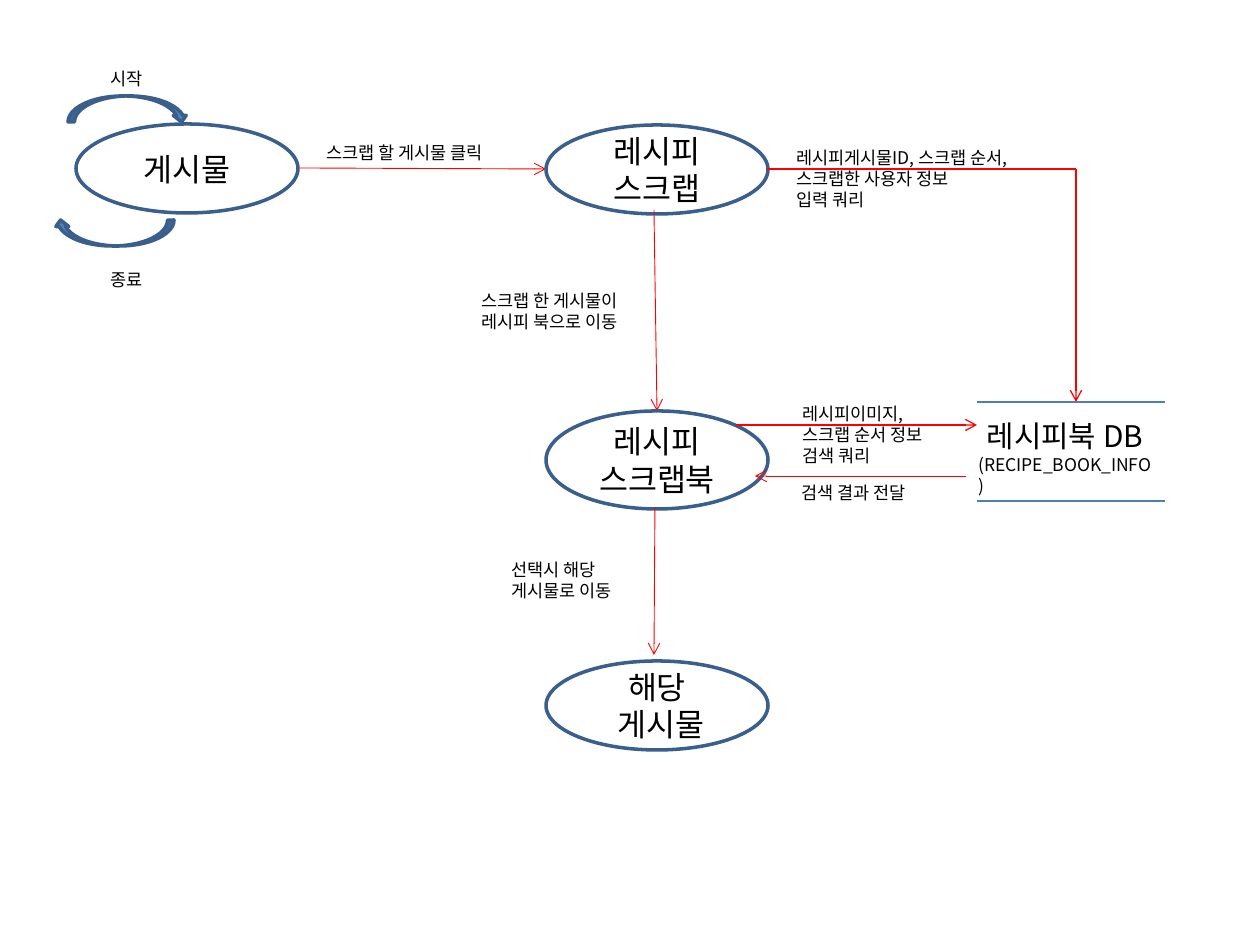
from dataclasses import dataclass

from lxml import etree
from pptx import Presentation
from pptx import util as u
from pptx.dml.color import RGBColor
from pptx.enum import shapes, text
from pptx.oxml.ns import qn

EMU_PER_PX = 914400 / 126


@dataclass(frozen=True)
class Theme:
    font: str = "Noto Sans CJK KR"
    ink: str = "000000"
    flow: str = "FF0000"
    outline: str = "3A5F8C"
    loop: str = "4F81BD"
    store: str = "4B7EBC"
    stage_size: int = 18
    store_size: int = 17
    label_size: int = 10
    outline_width: float = 2
    thin: float = 0.5
    medium: float = 0.75


THEME = Theme()


def px(length):
    return u.Emu(round(length * EMU_PER_PX))


def color(value):
    return RGBColor.from_string(value)


def write(frame, lines, align=text.PP_ALIGN.LEFT):
    frame.word_wrap = True
    for index, (words, size) in enumerate(lines):
        paragraph = frame.paragraphs[0] if index == 0 else frame.add_paragraph()
        paragraph.alignment = align
        run = paragraph.add_run()
        run.text = words
        run.font.size = u.Pt(size)
        run.font.name = THEME.font
        run.font.color.rgb = color(THEME.ink)
        east_asian = etree.SubElement(run.font._element, qn("a:ea"))
        east_asian.set("typeface", THEME.font)


def add_label(slide, x, y, width, *lines):
    height = 13 + 21 * len(lines)
    box = slide.shapes.add_textbox(px(x), px(y), px(width), px(height))
    write(box.text_frame, [(line, THEME.label_size) for line in lines])


def add_outlined(slide, kind, x, y, width, height):
    shape = slide.shapes.add_shape(kind, px(x), px(y), px(width), px(height))
    shape.shadow.inherit = False
    shape.line.color.rgb = color(THEME.outline)
    shape.line.width = u.Pt(THEME.outline_width)
    return shape


def add_stage(slide, x, y, height, *lines):
    stage = add_outlined(slide, shapes.MSO_SHAPE.OVAL, x, y, 222, height)
    stage.fill.background()
    stage.text_frame.vertical_anchor = text.MSO_ANCHOR.MIDDLE
    write(stage.text_frame, [(line, THEME.stage_size) for line in lines],
          text.PP_ALIGN.CENTER)


def add_loop(slide, x, y, rotation=0):
    loop = add_outlined(slide, shapes.MSO_SHAPE.CURVED_DOWN_ARROW, x, y, 120, 26)
    loop.fill.solid()
    loop.fill.fore_color.rgb = color(THEME.loop)
    loop.rotation = rotation


def add_line(slide, start, end, stroke=THEME.flow, width=THEME.thin, arrow=True):
    line = slide.shapes.add_connector(
        shapes.MSO_CONNECTOR.STRAIGHT, *map(px, (*start, *end)))
    line.line.color.rgb = color(stroke)
    line.line.width = u.Pt(width)
    properties = line._element.spPr
    if arrow:
        tail = etree.SubElement(properties.find(qn("a:ln")), qn("a:tailEnd"))
        tail.set("type", "arrow")
    etree.SubElement(properties, qn("a:effectLst"))


def add_post(slide, x, y):
    add_label(slide, x + 44, y, 60, "시작")
    add_loop(slide, x + 14, y + 34)
    add_stage(slide, x + 22, y + 62, 89, "게시물")
    add_loop(slide, x, y + 158, rotation=180)
    add_label(slide, x + 44, y + 201, 68, "종료")
    add_line(slide, (x + 244, y + 106), (x + 492, y + 107))
    add_label(slide, x + 260, y + 74, 210, "스크랩 할 게시물 클릭")


def add_scrap_flow(slide, x, y):
    add_stage(slide, x, y, 89, "레시피", "스크랩")
    add_line(slide, (x + 108, y + 85), (x + 111, y + 286))
    add_label(slide, x - 77, y + 159, 186, "스크랩 한 게시물이", "레시피 북으로 이동")
    add_stage(slide, x, y + 286, 98, "레시피", "스크랩북")
    add_line(slide, (x + 109, y + 382), (x + 108, y + 530))
    add_label(slide, x - 47, y + 428, 140, "선택시 해당", "게시물로 이동")
    add_stage(slide, x, y + 536, 89, "해당", " 게시물")


def add_queries(slide, x, y):
    corner = x + 340
    add_line(slide, (x + 31, y + 28), (corner, y + 28),
             width=THEME.medium, arrow=False)
    add_line(slide, (corner, y + 28), (corner, y + 261), width=THEME.medium)
    add_label(slide, x + 48, y, 365,
              "레시피게시물ID, 스크랩 순서,", "스크랩한 사용자 정보", "입력 쿼리")
    add_line(slide, (x, y + 284), (x + 241, y + 284), width=THEME.medium)
    add_label(slide, x + 54, y + 256, 168,
              "레시피이미지,", "스크랩 순서 정보", "검색 쿼리")
    add_line(slide, (x + 230, y + 335), (x + 19, y + 335))
    add_label(slide, x + 53, y + 335, 154, "검색 결과 전달")


def add_database(slide, x, y, width, height):
    for edge in (y, y + height):
        add_line(slide, (x, edge), (x + width, edge),
                 THEME.store, THEME.medium, arrow=False)
    box = slide.shapes.add_textbox(px(x - 11), px(y + 10), px(198), px(71))
    write(box.text_frame, [("레시피북 DB", THEME.store_size),
                           ("(RECIPE_BOOK_INFO)", THEME.label_size)])
    box.text_frame.paragraphs[0].alignment = text.PP_ALIGN.CENTER


def main():
    deck = Presentation()
    deck.slide_width, deck.slide_height = px(1260), px(945)
    slide = deck.slides.add_slide(deck.slide_layouts[6])
    add_post(slide, 54, 62)
    add_scrap_flow(slide, 546, 125)
    add_queries(slide, 736, 141)
    add_database(slide, 977, 402, 188, 99)
    deck.save("out.pptx")


if __name__ == "__main__":
    main()
